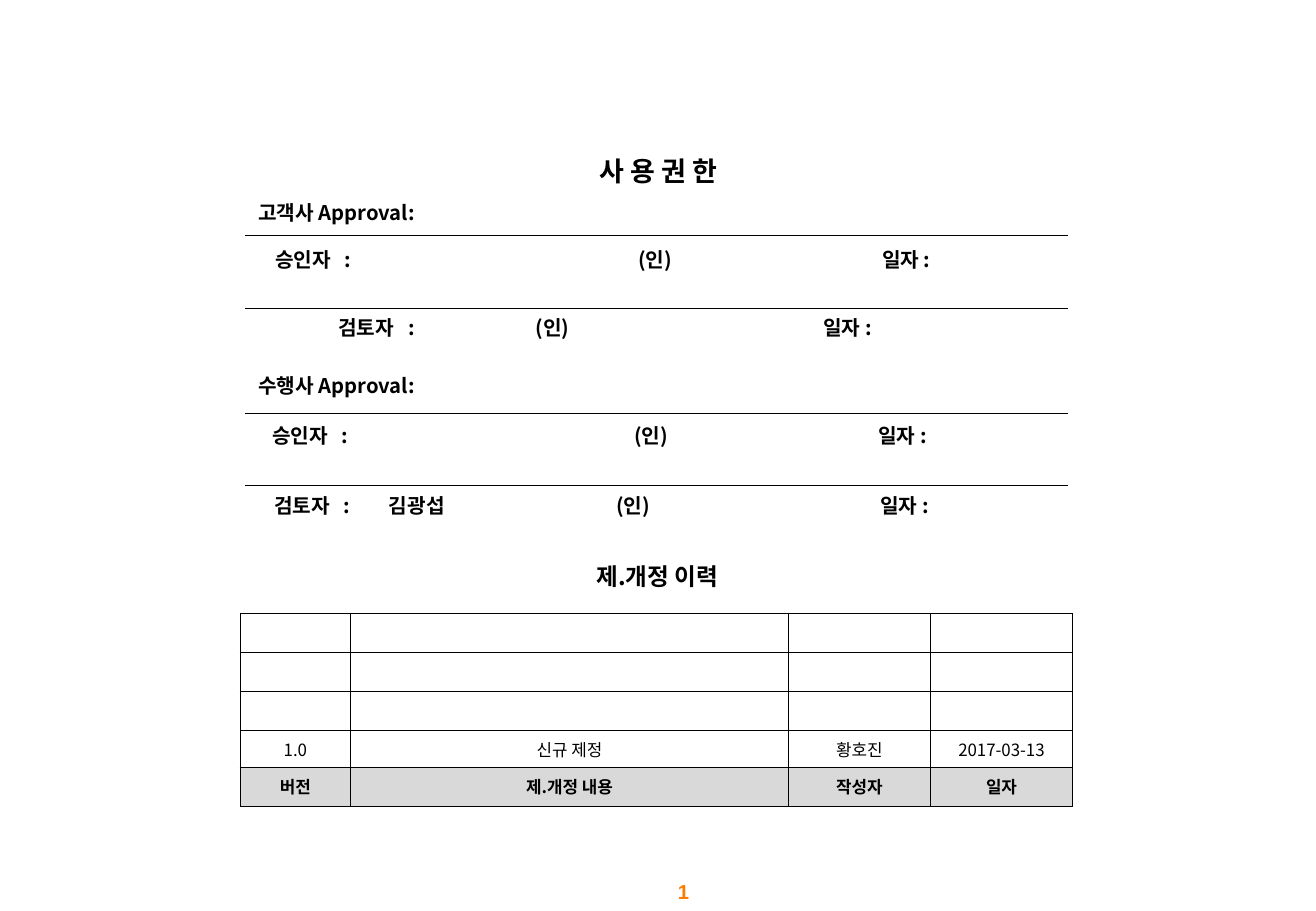
"""Build the approval and revision history page of a project document."""
from lxml.etree import SubElement
from pptx import Presentation
from pptx.dml.color import RGBColor
from pptx.enum.shapes import MSO_CONNECTOR as Connector
from pptx.enum.text import MSO_ANCHOR as Anchor, PP_ALIGN as Align
from pptx.oxml import parse_xml
from pptx.oxml.ns import nsdecls, qn
from pptx.util import Cm, Pt

KOREAN_FONT = "Noto Sans CJK KR"
BLACK, ORANGE, GREY = "000000", "FF7A00", "D9D9D9"


def style(paragraph, size, bold=True, color=BLACK, name=KOREAN_FONT, align=Align.CENTER):
    """Format a paragraph, with the same font for Latin and Korean text."""
    paragraph.alignment = align
    font = paragraph.font
    font.size, font.bold, font.name = Pt(size), bold, name
    font.color.rgb = RGBColor.from_string(color)
    defaults = paragraph._p.pPr.find(qn("a:defRPr"))
    SubElement(defaults, qn("a:ea")).set("typeface", name)


def add_text(text, left, top, width, height, size, **options):
    """Add a vertically centred text box and return its paragraph."""
    frame = slide.shapes.add_textbox(Cm(left), Cm(top), Cm(width), Cm(height)).text_frame
    frame.word_wrap = True
    frame.vertical_anchor = Anchor.MIDDLE
    frame.margin_left = frame.margin_right = frame.margin_top = frame.margin_bottom = 0
    paragraph = frame.paragraphs[0]
    paragraph.text = text
    style(paragraph, size, **options)
    return paragraph


presentation = Presentation()
presentation.slide_width, presentation.slide_height = Cm(27.51), Cm(19.05)
slide = presentation.slides.add_slide(presentation.slide_layouts[6])

add_text("1", 12.78, 18.26, 3.02, 0.76, 12, color=ORANGE, name="Arial")
add_text("사 용 권 한", 10.57, 3.1, 6.4, 0.94, 16)
add_text("제.개정 이력", 10.54, 11.61, 6.4, 0.86, 14)
for heading, top in [("고객사 Approval:", 4.04), ("수행사 Approval:", 7.65)]:
    add_text(heading, 4.9, top, 4.27, 0.81, 12)

approval_rows = [
    (5.03, [("승인자", 5.75), (":", 7.21), ("(인)", 13.34), ("일자 :", 18.44)]),
    (6.45, [("검토자", 7.07), (":", 8.53), ("(인)", 11.2), ("일자 :", 17.21)]),
    (8.71, [("승인자", 5.69), (":", 7.15), ("(인)", 13.26), ("일자 :", 18.36)]),
    (10.16, [("검토자", 5.73), (":", 7.19), ("김광섭", 8.13), ("(인)", 12.88), ("일자 :", 18.4)]),
]
for top, fields in approval_rows:
    left = fields[0][1]
    line_text = "\t".join(label for label, position in fields)
    paragraph = add_text(line_text, left, top, 22.3 - left, 0.81, 12, align=Align.LEFT)
    tab_list = parse_xml(f"<a:tabLst {nsdecls('a')}/>")
    for label, position in fields[1:]:
        tab = SubElement(tab_list, qn("a:tab"))
        tab.set("pos", str(Cm(position - left)))
        tab.set("algn", "l")
    paragraph._p.pPr.insert(0, tab_list)

for y in (4.93, 6.45, 8.64, 10.16):
    rule = slide.shapes.add_connector(Connector.STRAIGHT, Cm(5.13), Cm(y), Cm(22.33), Cm(y))
    rule.line.color.rgb = RGBColor.from_string(BLACK)
    rule.line.width = Pt(0.5)
    SubElement(rule._element.spPr, qn("a:effectLst"))

history = [
    ["", "", "", ""],
    ["", "", "", ""],
    ["", "", "", ""],
    ["1.0", "신규 제정", "황호진", "2017-03-13"],
    ["버전", "제.개정 내용", "작성자", "일자"],
]
column_widths = [2.31, 9.15, 2.97, 2.97]
row_heights = [0.82, 0.82, 0.82, 0.76, 0.82]
table_shape = slide.shapes.add_table(
    len(history), len(column_widths), Cm(5.02), Cm(12.82), Cm(sum(column_widths)), Cm(sum(row_heights)))
table = table_shape.table
table.first_row = table.horz_banding = False
for column, width in zip(table.columns, column_widths):
    column.width = Cm(width)
for row, height in zip(table.rows, row_heights):
    row.height = Cm(height)

for row_index, values in enumerate(history):
    is_header = row_index == len(history) - 1
    for column_index, value in enumerate(values):
        cell = table.cell(row_index, column_index)
        cell.vertical_anchor = Anchor.MIDDLE
        cell.margin_left = cell.margin_right = Cm(0.15)
        cell.margin_top = cell.margin_bottom = 0
        paragraph = cell.text_frame.paragraphs[0]
        if value:
            paragraph.text = value
        style(paragraph, 10, bold=is_header)
        SubElement(paragraph._p, qn("a:endParaRPr")).set("sz", "1000")
        properties = cell._tc.get_or_add_tcPr()
        for side in ("lnL", "lnR", "lnT", "lnB"):
            properties.append(parse_xml(
                f'<a:{side} {nsdecls("a")} w="{Pt(0.75)}"><a:solidFill>'
                f'<a:srgbClr val="{BLACK}"/></a:solidFill></a:{side}>'))
        if is_header:
            cell.fill.solid()
            cell.fill.fore_color.rgb = RGBColor.from_string(GREY)
        else:
            cell.fill.background()

presentation.save("out.pptx")
